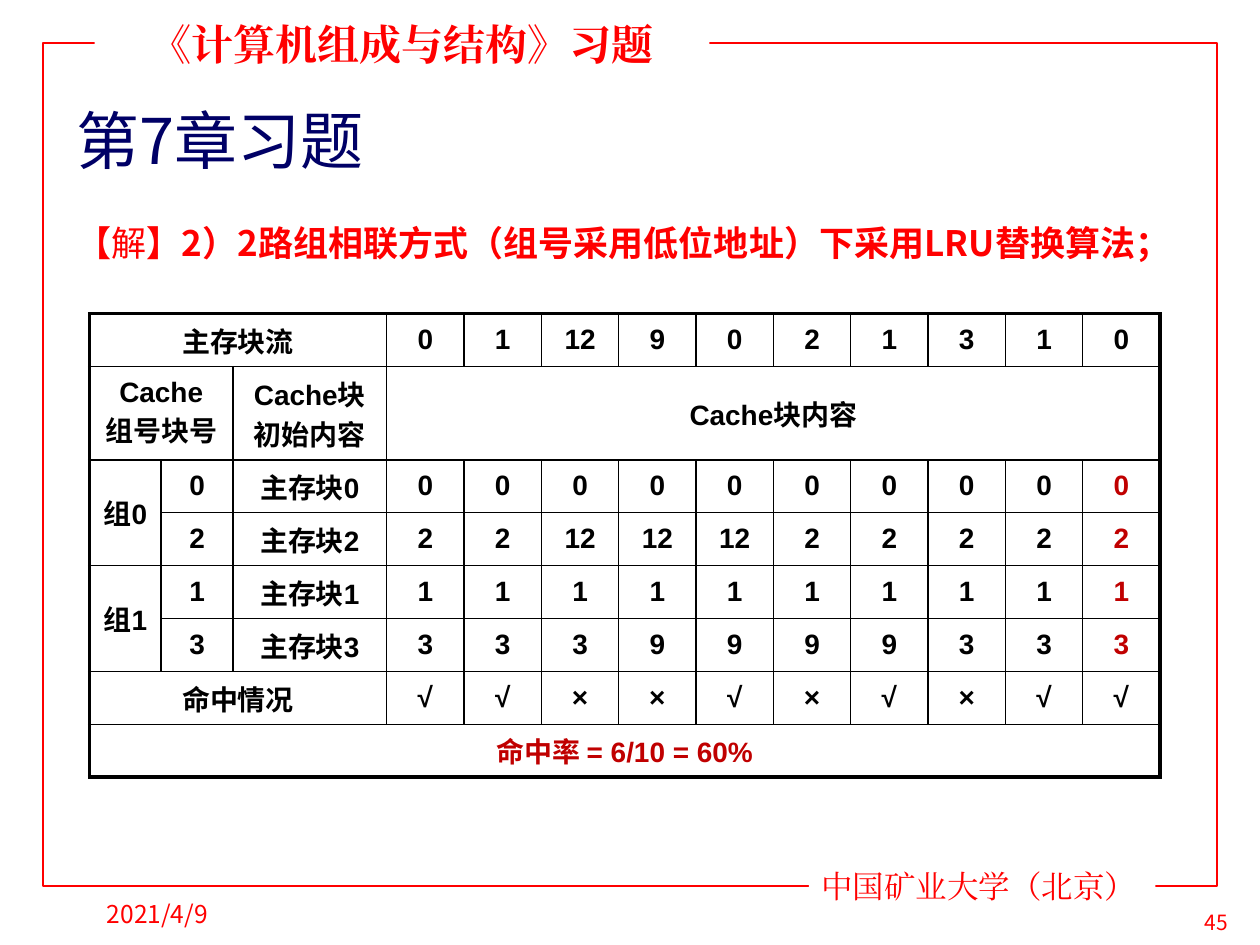
"""Build the cache replacement exercise slide."""
from dataclasses import dataclass

from lxml import etree
from pptx import Presentation
from pptx.dml.color import RGBColor
from pptx.enum import shapes, text
from pptx.oxml import ns
from pptx.util import Inches, Pt


@dataclass(frozen=True)
class Theme:
    """Colours, fonts, type sizes and line widths of the slide."""
    red: str = "FF0000"
    navy: str = "000066"
    black: str = "000000"
    accent: str = "C00000"
    white: str = "FFFFFF"
    cjk: str = "Noto Sans CJK SC"
    serif: str = "Times New Roman"
    sans: str = "Arial"
    title: int = 36
    header: int = 24
    body: int = 20
    footer: int = 18
    cell: int = 16
    date: int = 14
    number: int = 12
    outer_line: float = 2.25
    inner_line: float = 1


THEME = Theme()
LEFT, CENTER = text.PP_ALIGN.LEFT, text.PP_ALIGN.CENTER
TOP, MIDDLE = text.MSO_ANCHOR.TOP, text.MSO_ANCHOR.MIDDLE

COLUMN_WIDTHS = [0.57, 0.57, 1.22] + [0.614] * 10
ROW_HEIGHTS = [0.42, 0.74] + [0.42] * 6
MERGES = [(0, 0, 0, 2), (1, 0, 1, 1), (1, 3, 1, 12), (2, 0, 3, 0),
          (4, 0, 5, 0), (6, 0, 6, 2), (7, 0, 7, 12)]
TABLE_ROWS = [
    ["主存块流", "", "", *"0 1 12 9 0 2 1 3 1 0".split()],
    ["Cache\v组号块号", "", "Cache块\v初始内容", "Cache块内容"],
    ["组0", "0", "主存块0", *"0 0 0 0 0 0 0 0 0 0".split()],
    ["", "2", "主存块2", *"2 2 12 12 12 2 2 2 2 2".split()],
    ["组1", "1", "主存块1", *"1 1 1 1 1 1 1 1 1 1".split()],
    ["", "3", "主存块3", *"3 3 3 9 9 9 9 3 3 3".split()],
    ["命中情况", "", "", *"√√××√×√×√√"],
    ["命中率 = 6/10 = 60%"],
]


def format_run(run, size, font, color, bold=False):
    """Apply type settings to one run, for Latin and Chinese text."""
    run.font.size = Pt(size)
    run.font.name = font
    run.font.bold = bold
    run.font.color.rgb = RGBColor.from_string(color)
    east_asian = etree.SubElement(run.font._element, ns.qn("a:ea"))
    east_asian.set("typeface", THEME.cjk if font == THEME.sans else font)


def fill_frame(frame, content, size, font, color, bold=False, align=LEFT, anchor=MIDDLE):
    """Write one formatted paragraph into a text frame."""
    frame.text = content
    frame.word_wrap = True
    frame.vertical_anchor = anchor
    paragraph = frame.paragraphs[0]
    paragraph.alignment = align
    for run in paragraph.runs:
        format_run(run, size, font, color, bold)


def add_label(slide, box, *content, **layout):
    """Add a text box with one formatted paragraph."""
    shape = slide.shapes.add_textbox(*map(Inches, box))
    fill_frame(shape.text_frame, *content, **layout)


def add_rectangle(slide, box, fill=None, line=None):
    """Add a rectangle with an optional fill and outline."""
    shape = slide.shapes.add_shape(shapes.MSO_SHAPE.RECTANGLE, *map(Inches, box))
    shape.shadow.inherit = False
    if fill:
        shape.fill.solid()
        shape.fill.fore_color.rgb = RGBColor.from_string(fill)
    else:
        shape.fill.background()
    if line:
        shape.line.color.rgb = RGBColor.from_string(line)
        shape.line.width = Pt(THEME.inner_line)
    else:
        shape.line.fill.background()
    return shape


def add_solution(slide):
    """Add the solution heading with its lighter middle character."""
    shape = slide.shapes.add_textbox(*map(Inches, (0.51, 1.54, 9.06, 5.16)))
    shape.text_frame.word_wrap = True
    paragraph = shape.text_frame.paragraphs[0]
    paragraph.line_spacing = 1.5
    for content, bold in [("【", True), ("解", False),
                          ("】2）2路组相联方式（组号采用低位地址）下采用LRU替换算法；", True)]:
        run = paragraph.add_run()
        run.text = content
        format_run(run, THEME.body, THEME.cjk, THEME.red, bold)


def set_borders(cell, outer_sides):
    """Draw the four cell borders, thicker on the outer sides."""
    properties = cell._tc.get_or_add_tcPr()
    for position, side in enumerate("LRTB"):
        width = THEME.outer_line if side in outer_sides else THEME.inner_line
        line = etree.Element(ns.qn(f"a:ln{side}"), w=str(Pt(width)))
        solid = etree.SubElement(line, ns.qn("a:solidFill"))
        etree.SubElement(solid, ns.qn("a:srgbClr"), val=THEME.black)
        properties.insert(position, line)


def add_cache_table(slide):
    """Add the table of cache contents and hits."""
    last_row, last_column = len(ROW_HEIGHTS) - 1, len(COLUMN_WIDTHS) - 1
    box = (0.71, 2.49, sum(COLUMN_WIDTHS), sum(ROW_HEIGHTS))
    table = slide.shapes.add_table(last_row + 1, last_column + 1, *map(Inches, box)).table
    for column, width in zip(table.columns, COLUMN_WIDTHS):
        column.width = Inches(width)
    for row, height in zip(table.rows, ROW_HEIGHTS):
        row.height = Inches(height)
    for top, left, bottom, right in MERGES:
        table.cell(top, left).merge(table.cell(bottom, right))

    for row in range(last_row + 1):
        for column in range(last_column + 1):
            cell = table.cell(row, column)
            cell.fill.background()
            edges = {"L": column == 0, "R": column + cell.span_width > last_column,
                     "T": row == 0, "B": row == last_row}
            set_borders(cell, [side for side, outer in edges.items() if outer])
            if column < len(TABLE_ROWS[row]) and TABLE_ROWS[row][column]:
                final = row == last_row or (2 <= row <= 5 and column == last_column)
                fill_frame(cell.text_frame, TABLE_ROWS[row][column], THEME.cell, THEME.sans,
                           THEME.accent if final else THEME.black, True, CENTER)
                cell.vertical_anchor = MIDDLE


def main():
    """Build and save the presentation."""
    presentation = Presentation()
    presentation.slide_width, presentation.slide_height = Inches(10), Inches(7.5)
    slide = presentation.slides.add_slide(presentation.slide_layouts[6])

    add_rectangle(slide, (0.34, 0.34, 9.32, 6.69), line=THEME.red)
    add_label(slide, (9.33, 7.17, 0.65, 0.3), "45", THEME.number, THEME.cjk, THEME.red,
              align=CENTER, anchor=TOP)
    header = add_rectangle(slide, (0.75, 0.1, 4.88, 0.5), fill=THEME.white)
    fill_frame(header.text_frame, "《计算机组成与结构》习题", THEME.header, THEME.serif,
               THEME.red, True, CENTER)
    footer = add_rectangle(slide, (6.42, 6.83, 2.75, 0.4), fill=THEME.white)
    fill_frame(footer.text_frame, "中国矿业大学（北京）", THEME.footer, THEME.serif, THEME.red)
    add_label(slide, (0.75, 7, 2.08, 0.5), "2021/4/9", THEME.date, THEME.cjk, THEME.red)
    add_label(slide, (0.51, 0.75, 9.06, 0.71), "第7章习题", THEME.title, THEME.cjk, THEME.navy)
    add_solution(slide)
    add_cache_table(slide)

    presentation.save("out.pptx")


if __name__ == "__main__":
    main()
